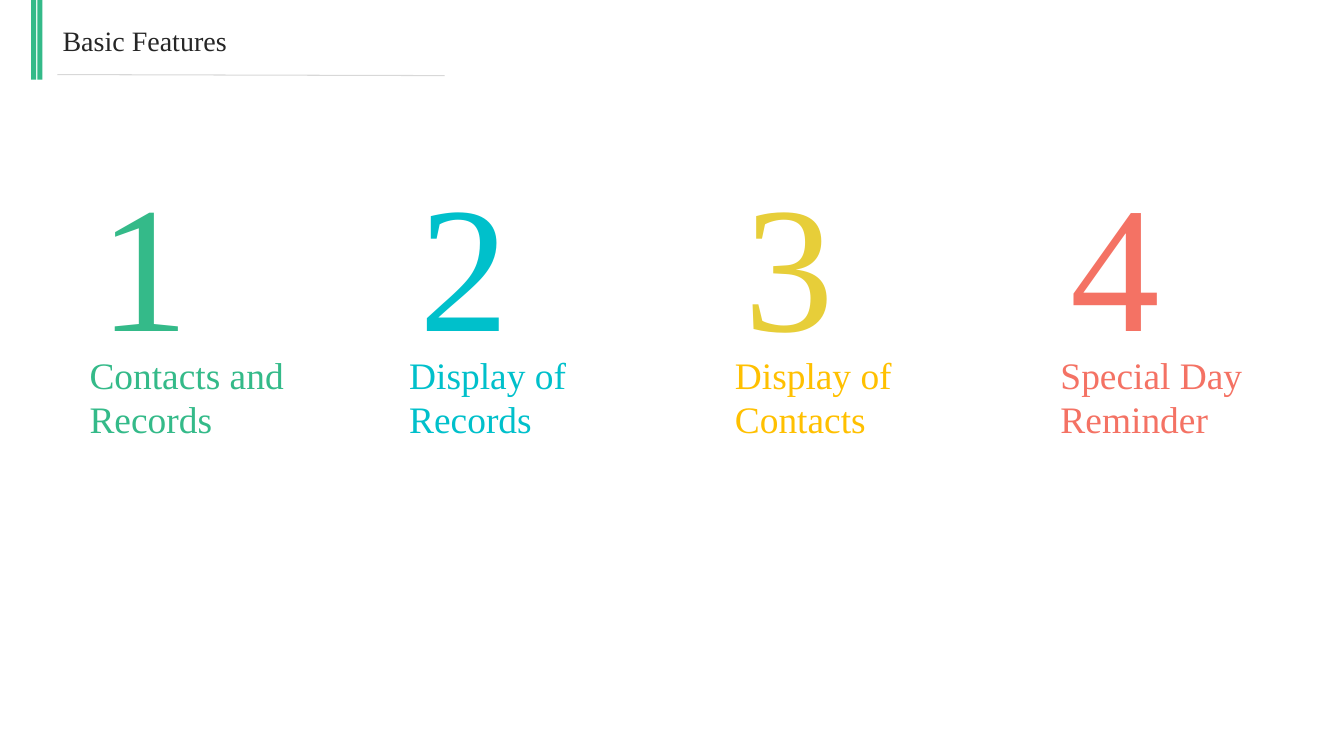
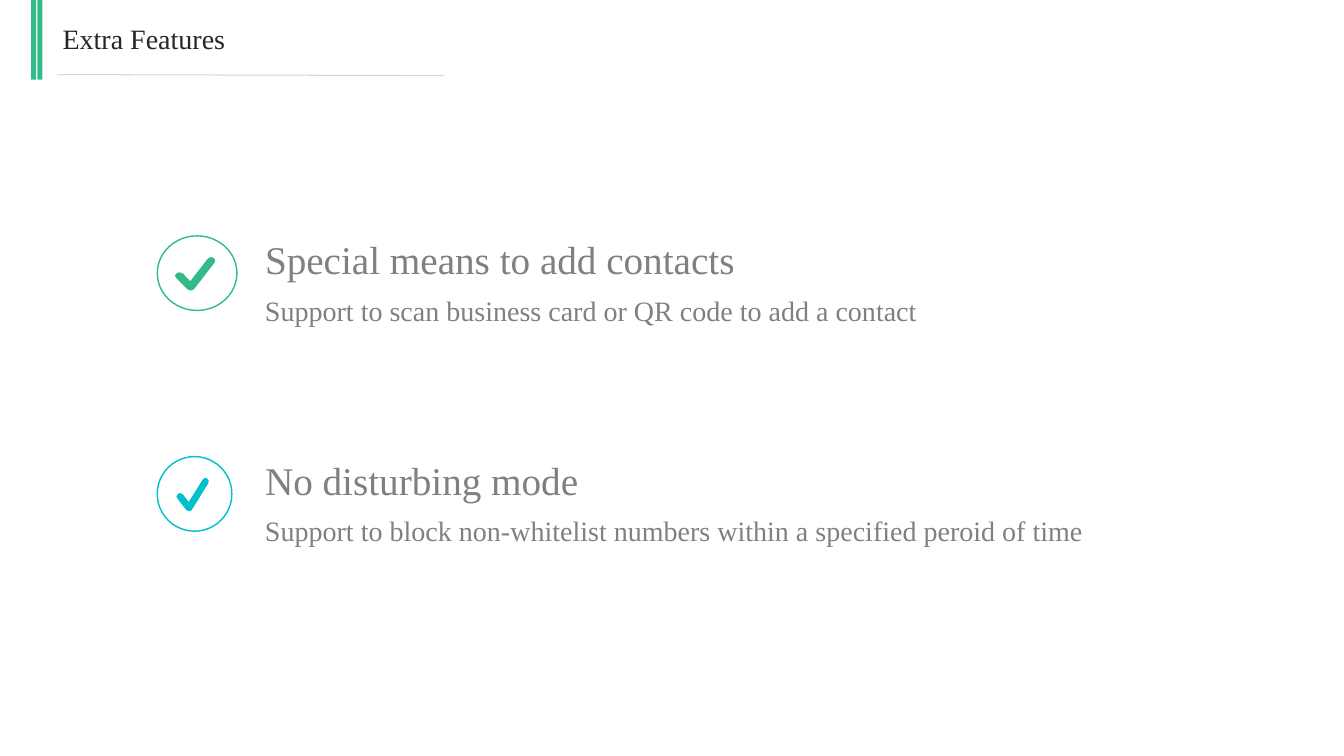
from lxml.etree import SubElement
from pptx import Presentation
from pptx.dml.color import RGBColor
from pptx.enum.shapes import MSO_CONNECTOR, MSO_SHAPE
from pptx.enum.text import MSO_ANCHOR, PP_ALIGN
from pptx.oxml.ns import qn
from pptx.util import Inches, Pt

FONT = "Times New Roman"
COLORS = {
    "green": "34BA89",
    "cyan": "00C0CB",
    "gold": "E7CE39",
    "amber": "FFC000",
    "coral": "F47264",
    "title": "262626",
    "body": "808080",
    "rule": "D8D8D8",
}
# Outline of the tick, as fractions of its box
TICK = [
    (0.38, 1), (0.34, 0.99), (0.3, 0.96), (0.04, 0.64), (0, 0.56), (0.05, 0.48),
    (0.12, 0.46), (0.2, 0.5), (0.38, 0.73), (0.81, 0.06), (0.88, 0), (0.95, 0.02),
    (1, 0.09), (0.99, 0.16), (0.48, 0.96), (0.43, 1),
]
BASIC_FEATURES = [
    (0.79, 2.54, ["Contacts and", "Records"], "green", "green"),
    (3.96, 1.98, ["Display of", "Records"], "cyan", "cyan"),
    (7.19, 1.98, ["Display of", "Contacts"], "gold", "amber"),
    (10.42, 2.06, ["Special Day Reminder"], "coral", "coral"),
]
# Top, circle width, tick width, colour, heading, detail
EXTRA_FEATURES = [
    (2.29, 0.79, 0.4, "green", "Special means to add contacts",
     "Support to scan business card or QR code to add a contact"),
    (4.48, 0.74, 0.32, "cyan", "No disturbing mode",
     "Support to block non-whitelist numbers within a specified peroid of time"),
]


def color(name):
    return RGBColor.from_string(COLORS[name])


def place(shape, left, top, width, height):
    shape.left, shape.top = Inches(left), Inches(top)
    shape.width, shape.height = Inches(width), Inches(height)


def write(shape, lines, size, color_name, align=PP_ALIGN.LEFT):
    frame = shape.text_frame
    frame.word_wrap = True
    frame.vertical_anchor = MSO_ANCHOR.TOP
    frame.text = "\n".join(lines)
    for paragraph in frame.paragraphs:
        paragraph.alignment = align
        paragraph.font.name = FONT
        paragraph.font.size = Pt(size)
        paragraph.font.color.rgb = color(color_name)


def add_text(slide, left, top, width, height, *text):
    box = slide.shapes.add_textbox(0, 0, 0, 0)
    place(box, left, top, width, height)
    write(box, *text)


def fill_plain(shape, color_name):
    shape.shadow.inherit = False
    shape.fill.solid()
    shape.fill.fore_color.rgb = color(color_name)
    shape.line.fill.background()


def add_titled_slide(presentation, title, title_top):
    """Add a slide with the green bars, the title and the rule below it."""
    slide = presentation.slides.add_slide(presentation.slide_layouts[5])
    for left in (0.31, 0.37):
        bar = slide.shapes.add_shape(
            MSO_SHAPE.RECTANGLE, Inches(left), 0, Inches(0.05), Inches(0.79))
        fill_plain(bar, "green")
    place(slide.shapes.title, 0.52, title_top, 4.23, 0.44)
    write(slide.shapes.title, [title], 20, "title")
    rule = slide.shapes.add_connector(
        MSO_CONNECTOR.STRAIGHT, Inches(0.57), Inches(0.74), Inches(4.41), Inches(0.75))
    rule.line.color.rgb = color("rule")
    rule.line.width = Pt(0.75)
    SubElement(rule._element.spPr, qn("a:effectLst"))
    return slide


def add_numbered_feature(slide, left, top, width, number, lines, number_color, label_color):
    add_text(slide, left, top + 1.98, width, 1, lines, 26.7, label_color)
    add_text(slide, left + 0.1, top, 0.83, 2.26, [str(number)], 128, number_color,
             PP_ALIGN.CENTER)


def add_tick(slide, left, top, width, height, color_name):
    points = [(Inches(left + x * width), Inches(top + y * height)) for x, y in TICK]
    builder = slide.shapes.build_freeform(*points[0])
    builder.add_line_segments(points[1:], close=True)
    fill_plain(builder.convert_to_shape(), color_name)


def add_ticked_feature(slide, left, top, circle_width, tick_width, color_name,
                       heading, detail):
    circle = slide.shapes.add_shape(MSO_SHAPE.OVAL, 0, 0, 0, 0)
    place(circle, left, top + 0.05, circle_width, 0.74)
    circle.shadow.inherit = False
    circle.fill.background()
    circle.line.color.rgb = color(color_name)
    circle.line.width = Pt(1)
    tick_left = left + (circle_width - tick_width) / 2 - 0.02
    add_tick(slide, tick_left, top + 0.26, tick_width, 0.33, color_name)
    add_text(slide, left + 0.97, top, 6.02, 0.57, [heading], 28, "body")
    add_text(slide, left + 0.97, top + 0.57, 8.7, 0.44, [detail], 20, "body")


def add_basic_features(presentation):
    slide = add_titled_slide(presentation, "Basic Features", 0.18)
    for number, (left, width, *content) in enumerate(BASIC_FEATURES, start=1):
        add_numbered_feature(slide, left, 1.46, width, number, *content)


def add_extra_features(presentation):
    slide = add_titled_slide(presentation, "Extra Features", 0.16)
    for feature in EXTRA_FEATURES:
        add_ticked_feature(slide, 1.56, *feature)


def main():
    presentation = Presentation()
    presentation.slide_width, presentation.slide_height = Inches(13.33), Inches(7.5)
    add_basic_features(presentation)
    add_extra_features(presentation)
    presentation.save("out.pptx")


if __name__ == "__main__":
    main()
